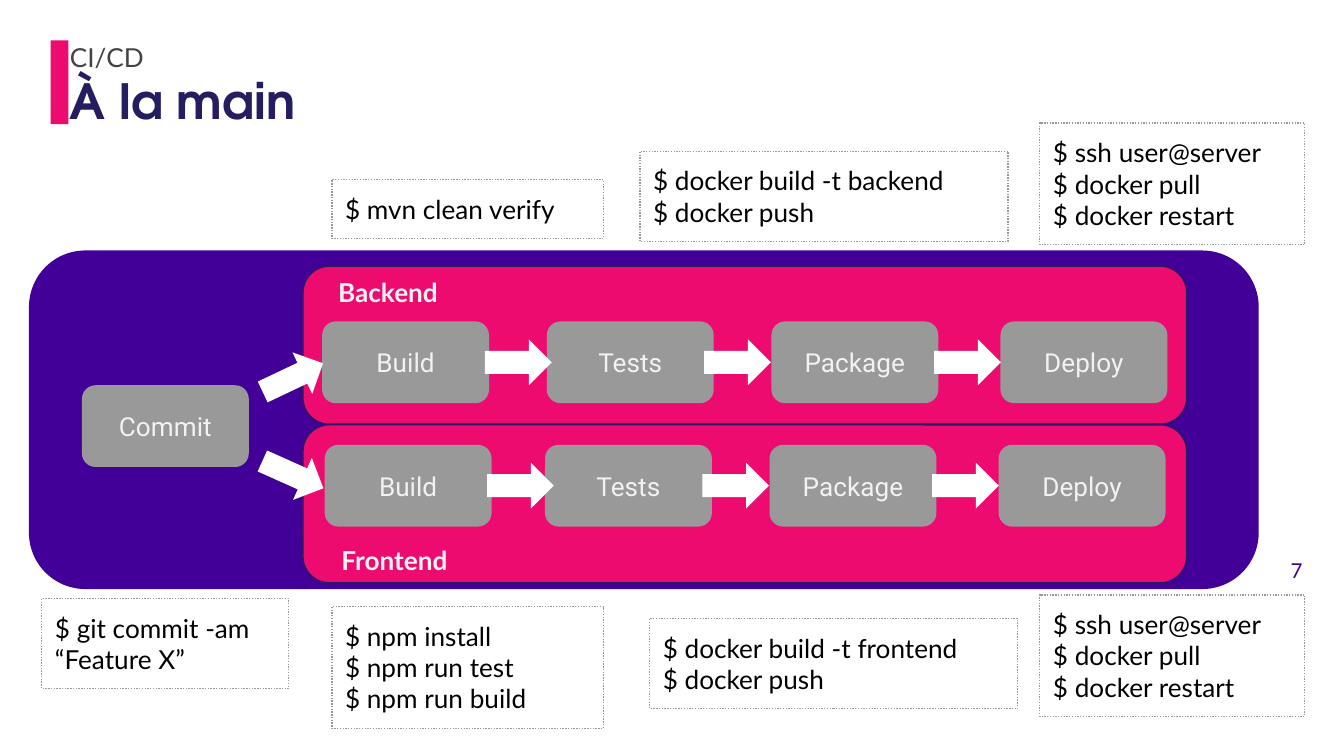
from pptx import Presentation
from pptx.dml.color import RGBColor
from pptx.enum.dml import MSO_LINE
from pptx.enum.shapes import MSO_SHAPE as Shape
from pptx.enum.text import MSO_ANCHOR as Anchor, MSO_AUTO_SIZE as AutoSize, PP_ALIGN as Align
from pptx.util import Pt

PINK = RGBColor(0xEE, 0x0B, 0x6F)
PURPLE = RGBColor(0x43, 0x00, 0x99)
NAVY = RGBColor(0x24, 0x1D, 0x60)
GRAY = RGBColor(0x99, 0x99, 0x99)
DARK = RGBColor(0x43, 0x43, 0x43)
PALE = RGBColor(0xF2, 0xF2, 0xF2)
LABEL = RGBColor(0xF3, 0xF3, 0xF3)
WHITE = RGBColor(0xFF, 0xFF, 0xFF)
BLACK = RGBColor(0x00, 0x00, 0x00)

STAGES = ["Build", "Tests", "Package", "Deploy"]
LANES = [
    {"name": "Backend", "top": 142.6, "stage_top": 172.2,
     "stage_lefts": [172.6, 293, 413.3, 536], "arrow_lefts": [259.8, 377.2, 500.4],
     "label_at": (174, 141), "commit_arrow": (139, 190, -25.4)},
    {"name": "Frontend", "top": 227.6, "stage_top": 238.3,
     "stage_lefts": [174, 292, 412.3, 535], "arrow_lefts": [260.9, 376.2, 499.3],
     "label_at": (175.8, 284.2), "commit_arrow": (139, 242, 24.1)},
]
DEPLOY = ["$ ssh user@server", "$ docker pull", "$ docker restart"]
COMMANDS = [
    (["$ git commit -am “Feature X”"], (22.4, 320.6, 132.2, 48.4)),
    (["$ mvn clean verify"], (177.8, 96.2, 145.6, 31.6)),
    (["$ npm install", "$ npm run test", "$ npm run build"], (177.8, 325, 145.6, 65.2)),
    (["$ docker build -t backend", "$ docker push"], (342.8, 81, 197.3, 48.4)),
    (["$ docker build -t frontend", "$ docker push"], (348, 331.3, 197.3, 48.4)),
    (DEPLOY, (557, 66, 142, 65.2)),
    (DEPLOY, (557, 318.7, 142, 65.2)),
]
STAGE_W, STAGE_H = 89.4, 43.8
ARROW_W, ARROW_H = 35.8, 24.6
INSET = 7.2

deck = Presentation()
deck.slide_width, deck.slide_height = Pt(720), Pt(405)
slide = deck.slides.add_slide(deck.slide_layouts[6])


def write(holder, lines, *, font="Lato", size=14, color=BLACK, bold=False,
          align=Align.LEFT, anchor=Anchor.TOP, grow=False):
    frame = holder.text_frame
    frame.word_wrap = True
    frame.auto_size = AutoSize.SHAPE_TO_FIT_TEXT if grow else AutoSize.NONE
    frame.vertical_anchor = anchor
    frame.margin_left = frame.margin_right = Pt(INSET)
    frame.margin_top = frame.margin_bottom = Pt(INSET)
    for index, line in enumerate(lines):
        paragraph = frame.add_paragraph() if index else frame.paragraphs[0]
        paragraph.alignment = align
        run = paragraph.add_run()
        run.text = line
        run.font.name, run.font.size = font, Pt(size)
        run.font.bold, run.font.color.rgb = bold, color


def draw(kind, box, fill=None, line=None, dash=None, rotation=0):
    shape = slide.shapes.add_shape(kind, *map(Pt, box))
    shape.shadow.inherit = False
    shape.rotation = rotation
    if fill is None:
        shape.fill.background()
    else:
        shape.fill.solid()
        shape.fill.fore_color.rgb = fill
    if line is None:
        shape.line.fill.background()
    else:
        shape.line.color.rgb = line
        shape.line.width = Pt(0.75)
        if dash is not None:
            shape.line.dash_style = dash
    return shape


def label(text, box, **style):
    write(slide.shapes.add_textbox(*map(Pt, box)), [text], **style)


def stage(name, left, top):
    box = draw(Shape.ROUNDED_RECTANGLE, (left, top, STAGE_W, STAGE_H), GRAY)
    write(box, [name], font="Roboto", color=PALE, align=Align.CENTER, anchor=Anchor.MIDDLE)


def arrow(left, top, rotation=0):
    draw(Shape.RIGHT_ARROW, (left, top, ARROW_W, ARROW_H), WHITE, rotation=rotation)


draw(Shape.RECTANGLE, (27.2, 21.6, 9.4, 45), PINK)
label("À la main", (30.4, 31, 671, 45.4), font="TeX Gyre Adventor", size=26, color=NAVY, bold=True)
label("CI/CD", (30.4, 21, 671, 18.7), color=DARK, anchor=Anchor.MIDDLE)

draw(Shape.ROUNDED_RECTANGLE, (15.5, 134.2, 658.8, 181.4), PURPLE)
stage("Commit", 43.9, 206.4)
for lane in LANES:
    draw(Shape.ROUNDED_RECTANGLE, (162.3, lane["top"], 473.4, 84.6), PINK, NAVY)
    for name, left in zip(STAGES, lane["stage_lefts"]):
        stage(name, left, lane["stage_top"])
    for left in lane["arrow_lefts"]:
        arrow(left, lane["stage_top"] + (STAGE_H - ARROW_H) / 2)
    arrow(*lane["commit_arrow"])
    label(lane["name"], (*lane["label_at"], 85.7, 31.6), color=LABEL, bold=True, grow=True)

for lines, box in COMMANDS:
    write(draw(Shape.RECTANGLE, box, line=GRAY, dash=MSO_LINE.ROUND_DOT), lines, grow=True)
label("7", (661.7, 291.6, 43.2, 31), size=11, color=PURPLE, align=Align.RIGHT)

deck.save("out.pptx")
